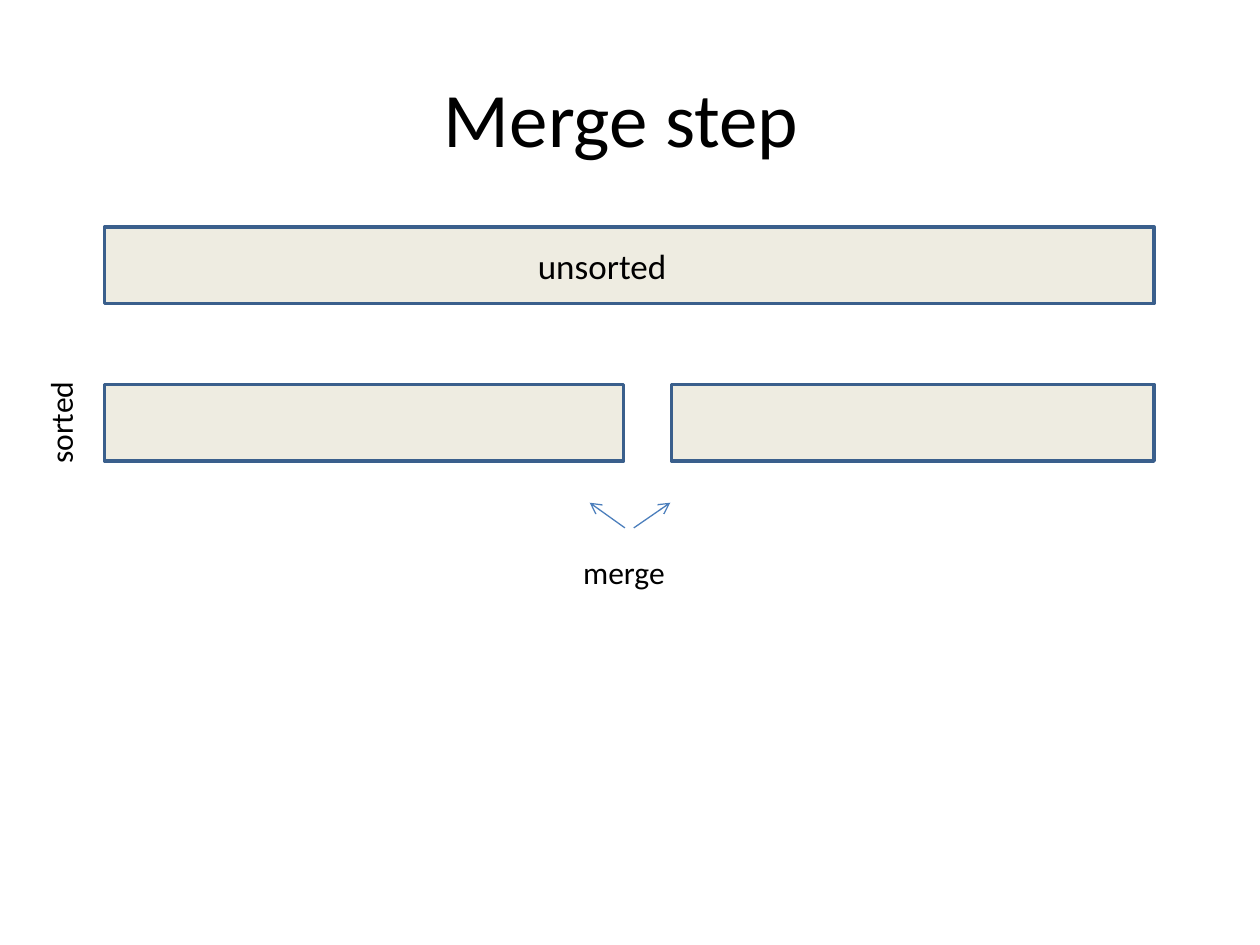
from lxml import etree
from pptx import Presentation
from pptx.dml.color import RGBColor
from pptx.enum.shapes import MSO_CONNECTOR, MSO_SHAPE
from pptx.enum.text import MSO_ANCHOR, MSO_AUTO_SIZE, PP_ALIGN
from pptx.oxml.ns import qn
from pptx.util import Inches, Pt

RECTANGLE = MSO_SHAPE.RECTANGLE
STRAIGHT = MSO_CONNECTOR.STRAIGHT
MIDDLE = MSO_ANCHOR.MIDDLE
CENTER = PP_ALIGN.CENTER
GROW = MSO_AUTO_SIZE.SHAPE_TO_FIT_TEXT

BLACK = RGBColor(0x00, 0x00, 0x00)
CREAM = RGBColor(0xEE, 0xEC, 0xE1)
OUTLINE_BLUE = RGBColor(0x3A, 0x5F, 0x8C)
ARROW_BLUE = RGBColor(0x4B, 0x7E, 0xBC)

FONT = "Calibri"
TITLE_ONLY = 5
LEFT, RIGHT = 0.83, 9.16
BAR_HEIGHT = 0.61
WHOLE_TOP, HALVES_TOP = 1.8, 3.05


class SlideBuilder:
    def __init__(self, presentation):
        self.slide = presentation.slides.add_slide(presentation.slide_layouts[TITLE_ONLY])

    def set_text(self, text_frame, text, size):
        text_frame.text = text
        font = text_frame.paragraphs[0].runs[0].font
        font.name = FONT
        font.size = Pt(size)
        font.color.rgb = BLACK

    def title(self, text, left, top, width, height):
        title = self.slide.shapes.title
        title.left, title.top = Inches(left), Inches(top)
        title.width, title.height = Inches(width), Inches(height)
        self.set_text(title.text_frame, text, 44)
        title.text_frame.vertical_anchor = MIDDLE
        title.text_frame.paragraphs[0].alignment = CENTER

    def bar(self, left, right, top):
        shape = self.slide.shapes.add_shape(
            RECTANGLE, Inches(left), Inches(top), Inches(right - left), Inches(BAR_HEIGHT))
        shape.shadow.inherit = False
        shape.fill.solid()
        shape.fill.fore_color.rgb = CREAM
        shape.line.color.rgb = OUTLINE_BLUE
        shape.line.width = Pt(2)

    def label(self, text, left, top, width, height, size=18, rotation=0, wrap=True):
        box = self.slide.shapes.add_textbox(
            Inches(left), Inches(top), Inches(width), Inches(height))
        box.rotation = rotation
        box.text_frame.word_wrap = wrap
        box.text_frame.auto_size = GROW
        self.set_text(box.text_frame, text, size)

    def arrows(self, endpoints):
        group = self.slide.shapes.add_group_shape()
        for start_x, start_y, end_x, end_y in endpoints:
            connector = group.shapes.add_connector(
                STRAIGHT, Inches(start_x), Inches(start_y), Inches(end_x), Inches(end_y))
            connector.line.color.rgb = ARROW_BLUE
            connector.line.width = Pt(0.75)
            properties = connector._element.spPr
            etree.SubElement(properties.find(qn("a:ln")), qn("a:tailEnd"), type="arrow")
            etree.SubElement(properties, qn("a:effectLst"))


def main():
    presentation = Presentation()
    presentation.slide_width = Inches(10)
    presentation.slide_height = Inches(7.5)

    builder = SlideBuilder(presentation)
    builder.title("Merge step ", 0.5, 0.3, 9, 1.25)
    builder.bar(LEFT, RIGHT, WHOLE_TOP)
    builder.label("unsorted", 4.17, 1.89, 1.58, 0.44, size=20)
    builder.bar(LEFT, 4.95, HALVES_TOP)
    builder.bar(5.33, RIGHT, HALVES_TOP)
    builder.label("sorted", 0.05, 3.15, 0.86, 0.4, rotation=270, wrap=False)
    builder.label("merge", 4.53, 4.34, 1.39, 0.4)
    builder.arrows([(4.96, 4.19, 4.68, 3.99), (5.03, 4.19, 5.32, 3.99)])

    presentation.save("out.pptx")


if __name__ == "__main__":
    main()
